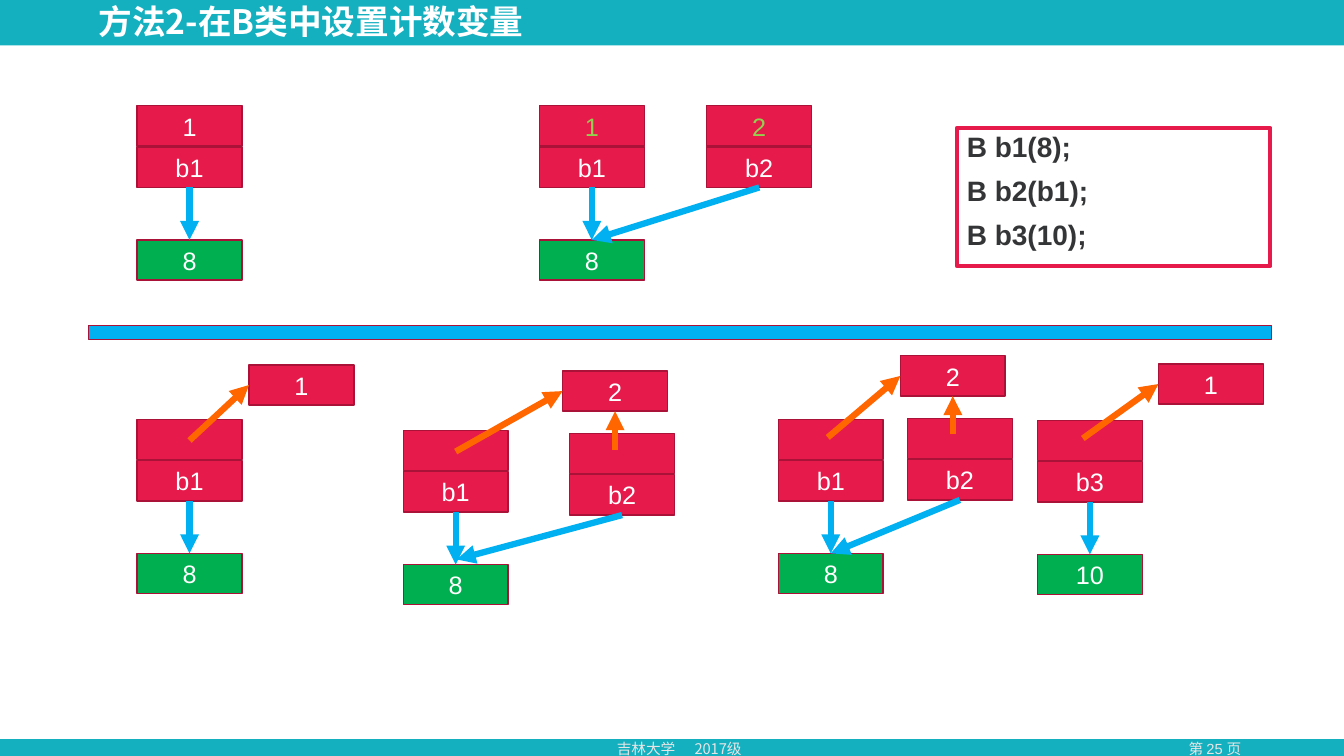
import pptx
import pptx.util
import pptx.dml.color
import pptx.enum.shapes
import pptx.enum.text
import pptx.oxml.ns
import lxml.etree

Inches = pptx.util.Inches
Pt = pptx.util.Pt
RGBColor = pptx.dml.color.RGBColor
ALIGN = pptx.enum.text.PP_ALIGN
ANCHOR = pptx.enum.text.MSO_ANCHOR
RECT = pptx.enum.shapes.MSO_SHAPE.RECTANGLE
STRAIGHT = pptx.enum.shapes.MSO_CONNECTOR.STRAIGHT

TEAL = RGBColor(0x14, 0xB0, 0xC0)
WHITE = RGBColor(0xFF, 0xFF, 0xFF)
PALE = RGBColor(0xE7, 0xE6, 0xE6)
RED = RGBColor(0xE6, 0x1A, 0x4B)
DARK = RGBColor(0xAA, 0x13, 0x37)
GREEN = RGBColor(0x00, 0xB0, 0x50)
LIME = RGBColor(0x92, 0xD0, 0x50)
BLUE = RGBColor(0x00, 0xB0, 0xF0)
ORANGE = RGBColor(0xFF, 0x66, 0x00)
INK = RGBColor(0x34, 0x35, 0x37)

LATIN = "Arial"
HAN = "Noto Sans CJK SC"
WIDE, HIGH = 1.04, 0.4
STEP, DROP = 0.41, 1.33
TOP, LEFT, BOTTOM = 0, 1, 2


def add_tag(parent, tag, **attrs):
    return lxml.etree.SubElement(parent, pptx.oxml.ns.qn(tag), attrs)


def write(shape, text, size=18, face=LATIN, color=WHITE, bold=False,
          align=ALIGN.LEFT, anchor=ANCHOR.TOP, line=None, gap=None, tab=None):
    frame = shape.text_frame
    frame.word_wrap = True
    frame.vertical_anchor = anchor
    for index, words in enumerate(text.split("\n")):
        para = frame.paragraphs[0] if index == 0 else frame.add_paragraph()
        para.alignment = align
        if line:
            para.line_spacing = line
        if gap and index:
            para.space_before = Pt(gap)
        if tab:
            tabs = add_tag(para._p.get_or_add_pPr(), "a:tabLst")
            add_tag(tabs, "a:tab", pos=str(Inches(tab)), algn="l")
        run = para.add_run()
        run.text = words
        run.font.size = Pt(size)
        run.font.bold = bold
        run.font.name = face
        run.font.color.rgb = color
        add_tag(run._r.get_or_add_rPr(), "a:ea", typeface=HAN)


def add_rect(slide, box, fill=None, edge=None, width=1):
    shape = slide.shapes.add_shape(RECT, *map(Inches, box))
    shape.shadow.inherit = False
    if fill is None:
        shape.fill.background()
    else:
        shape.fill.solid()
        shape.fill.fore_color.rgb = fill
    if edge is None:
        shape.line.fill.background()
    else:
        shape.line.color.rgb = edge
        shape.line.width = Pt(width)
    return shape


def add_label(slide, box, text, **style):
    write(slide.shapes.add_textbox(*map(Inches, box)), text, **style)


def add_cell(slide, x, y, text="", fill=RED, color=WHITE):
    cell = add_rect(slide, (x, y, WIDE, HIGH), fill, DARK)
    if text:
        write(cell, text, color=color, align=ALIGN.CENTER, anchor=ANCHOR.MIDDLE)
    return cell


def add_arrow(slide, start, end, color):
    def is_point(place):
        return isinstance(place[0], float)

    first = start if is_point(start) else (0, 0)
    last = end if is_point(end) else (0, 0)
    arrow = slide.shapes.add_connector(STRAIGHT, *map(Inches, (*first, *last)))
    if not is_point(start):
        arrow.begin_connect(*start)
    if not is_point(end):
        arrow.end_connect(*end)
    arrow.line.color.rgb = color
    arrow.line.width = Pt(4.5)
    add_tag(arrow.line._get_or_add_ln(), "a:tailEnd", type="triangle")
    add_tag(arrow._element.spPr, "a:effectLst")


def add_stack(slide, x, y, name, count="", value="", color=WHITE):
    named = add_cell(slide, x, y + STEP, name)
    add_cell(slide, x, y, count, color=color)
    data = None
    if value:
        data = add_cell(slide, x, y + DROP, value, GREEN)
        add_arrow(slide, (named, BOTTOM), (data, TOP), BLUE)
    return named, data


def draw_frame(slide, x, y, wide, high):
    add_rect(slide, (x, y, wide, high), TEAL)
    add_rect(slide, (x, y + 0.45, wide, 6.88), WHITE)
    foot = y + 7.29
    add_label(slide, (x + 11.32, foot, 1.46, 0.28), "第 25 页",
              size=10.5, color=PALE, align=ALIGN.CENTER)
    add_label(slide, (x + 6.02, foot, 1.84, 0.28), "吉林大学\t2017级",
              size=10.5, face=HAN, color=PALE, tab=0.77)
    add_label(slide, (x + 0.88, y + 0.04, 7.34, 0.39), "方法2-在B类中设置计数变量",
              size=24, face=HAN, bold=True, anchor=ANCHOR.MIDDLE, line=0.9)


def draw_code(slide, x, y, wide, high):
    box = add_rect(slide, (x, y, wide, high), edge=RED, width=3)
    write(box, "B b1(8);\nB b2(b1);\nB b3(10);", size=20, color=INK,
          bold=True, line=0.9, gap=10)


def draw_plain(slide, x, y):
    add_stack(slide, x, y, "b1", "1", "8")
    data = add_stack(slide, x + 3.99, y, "b1", "1", "8", LIME)[1]
    copied = add_stack(slide, x + 5.65, y, "b2", "2", color=LIME)[0]
    add_arrow(slide, (copied, BOTTOM), (data, TOP), BLUE)


def draw_shared(slide, x, y):
    groups = [
        (0, 0.63, "b1", "1", "8", (1.11, 0.09), (0.52, 0.21), None),
        (2.64, 0.74, "b1", "2", "8", (4.22, 0.15), (0.52, 0.21), (4.29, 0.77)),
        (8.93, 0.64, "b3", "1", "10", (10.13, 0.08), (0.45, 0.18), None),
        (6.36, 0.63, "b1", "2", "8", (7.57, 0), (0.49, 0.18), (7.64, 0.62)),
    ]
    for left, top, name, count, value, spot, tip, twin in groups:
        left, top = x + left, y + top
        data = add_stack(slide, left, top, name, value=value)[1]
        total = add_cell(slide, x + spot[0], y + spot[1], count)
        add_arrow(slide, (left + tip[0], top + tip[1]), (total, LEFT), ORANGE)
        if twin:
            copied = add_stack(slide, x + twin[0], y + twin[1], "b2")[0]
            near = (left + 0.53, top + 1.28)
            end = near if left < x + 3 else (data, TOP)
            add_arrow(slide, (copied, BOTTOM), end, BLUE)
            stem = (x + spot[0] + WIDE / 2, y + twin[1] + 0.16)
            add_arrow(slide, stem, (total, BOTTOM), ORANGE)


def main():
    deck = pptx.Presentation()
    deck.slide_width = Inches(13.33)
    deck.slide_height = Inches(7.5)
    slide = deck.slides.add_slide(deck.slide_layouts[6])
    draw_frame(slide, 0, 0, 13.33, 7.5)
    draw_plain(slide, 1.36, 1.05)
    draw_code(slide, 9.49, 1.27, 3.11, 1.37)
    add_rect(slide, (0.88, 3.23, 11.73, 0.14), BLUE, DARK)
    draw_shared(slide, 1.36, 3.53)
    deck.save("out.pptx")


if __name__ == "__main__":
    main()
